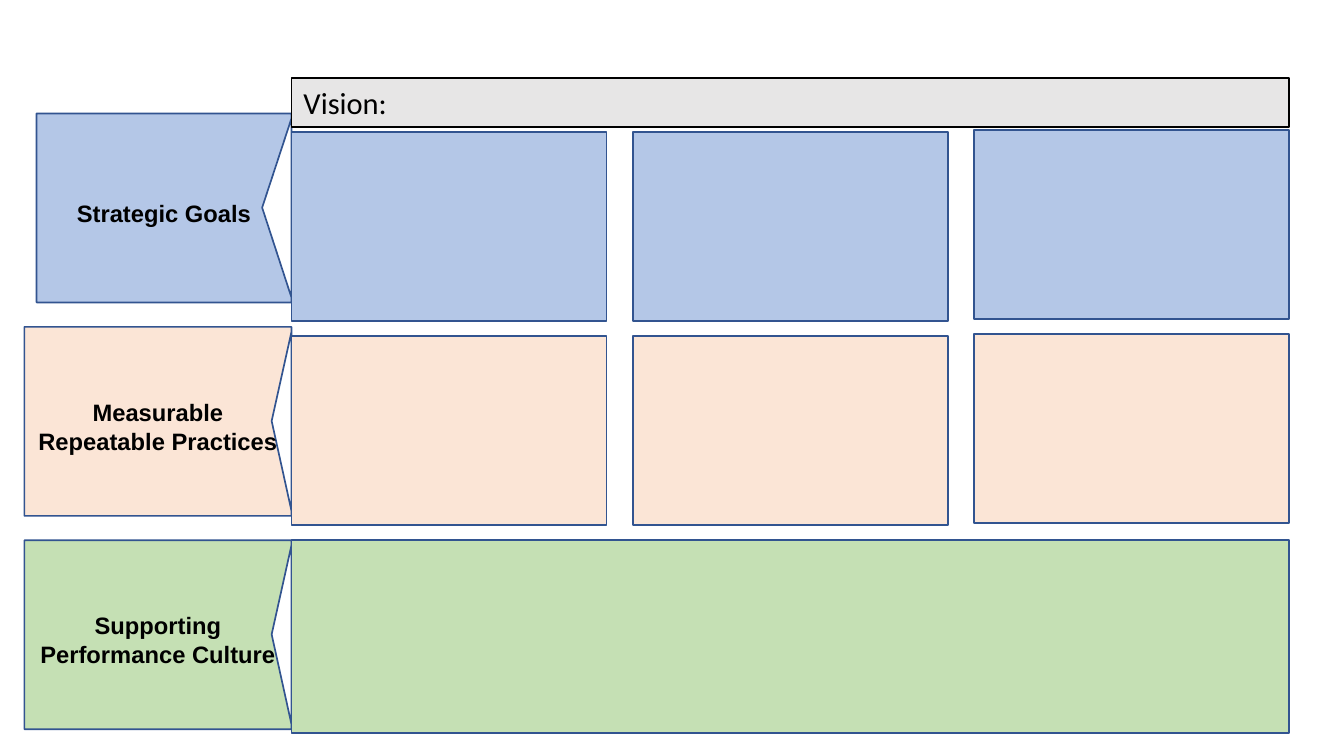
from pptx import Presentation
from pptx.dml.color import RGBColor
from pptx.enum.shapes import MSO_SHAPE
from pptx.enum.text import MSO_ANCHOR, PP_ALIGN
from pptx.util import Pt


def paint(shape, fill, line="325490", width=1):
    shape.shadow.inherit = False
    shape.fill.solid()
    shape.fill.fore_color.rgb = RGBColor.from_string(fill)
    shape.line.color.rgb = RGBColor.from_string(line)
    shape.line.width = Pt(width)


def write(shape, text, font, size, bold, align):
    frame = shape.text_frame
    frame.word_wrap = True
    para = frame.paragraphs[0]
    para.text = text
    para.alignment = align
    para.font.name = font
    para.font.size = Pt(size)
    para.font.bold = bold
    para.font.color.rgb = RGBColor.from_string("000000")
    return frame


deck = Presentation()
deck.slide_width = Pt(793.5)
deck.slide_height = Pt(446.4)
slide = deck.slides.add_slide(deck.slide_layouts[6])
shapes = slide.shapes

blue, peach, green = "B4C7E7", "FBE5D6", "C5E0B4"
edge, wide, high = 172.1, 589, 111.6

labels = [
    ("Measurable Repeatable Practices", peach, 14.4, 193, 160.4),
    ("Strategic Goals", blue, 21.6, 67, 154.8),
    ("Supporting Performance Culture", green, 14.4, 319, 160.4),
]
for text, fill, left, top, notch in labels:
    base = top + high
    points = [(edge, base), (edge, top + 2.9), (notch, top + 55.6),
              (edge, base - 2.9), (edge, top), (left, top)]
    pen = shapes.build_freeform(Pt(left), Pt(base))
    pen.add_line_segments([(Pt(x), Pt(y)) for x, y in points], close=True)
    label = pen.convert_to_shape()
    paint(label, fill)
    frame = write(label, text, "Arial", 14, True, PP_ALIGN.CENTER)
    frame.vertical_anchor = MSO_ANCHOR.MIDDLE
    frame.margin_top = Pt(9.4)

vision = shapes.add_shape(MSO_SHAPE.RECTANGLE, Pt(edge), Pt(46.1), Pt(wide), Pt(29))
paint(vision, "E7E6E6", "000000", 0.75)
frame = write(vision, "Vision:", "Calibri", 18, False, PP_ALIGN.LEFT)
frame.vertical_anchor = MSO_ANCHOR.TOP

for fill, top in [(blue, 77.8), (peach, 198.4)]:
    for col, lift in enumerate([0, 0, 1]):
        cell = shapes.add_shape(MSO_SHAPE.RECTANGLE, Pt(edge + col * 201.5),
                                Pt(top - lift), Pt(186), Pt(high))
        paint(cell, fill)

culture = shapes.add_shape(MSO_SHAPE.RECTANGLE, Pt(edge), Pt(319), Pt(wide), Pt(114))
paint(culture, green)

deck.save("out.pptx")
